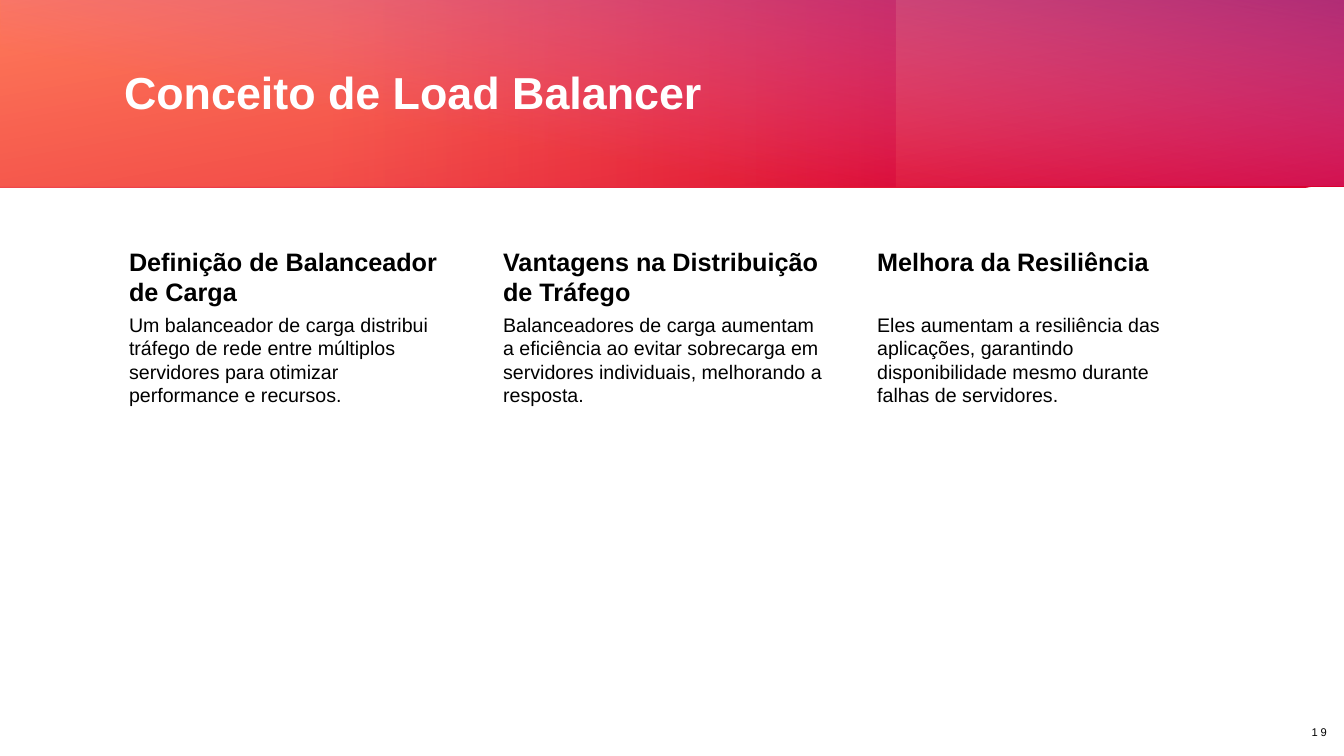
"""Build the load balancer concept slide: a gradient banner over three text columns."""
from lxml.etree import SubElement
from pptx import Presentation
from pptx.dml.color import RGBColor
from pptx.enum.shapes import MSO_SHAPE
from pptx.enum.text import MSO_ANCHOR, MSO_AUTO_SIZE, PP_ALIGN
from pptx.oxml.ns import qn
from pptx.util import Inches, Pt

COLORS = {
    "white": "FFFFFF", "black": "000000", "red": "DA002F", "peach": "FF8463",
    "coral": "FF6C4F", "orchid": "D861D4", "purple": "93258E",
}
FONT = "Arial"
WIDTH, HEIGHT = 13.33, 7.5
MARGIN = 1.13
COLUMN_STEP, COLUMN_WIDTH = 3.71, 3.37
HEADING_TOP, BODY_TOP, BODY_BOTTOM = 2.41, 3.08, 6.86


def write(box, text, size, color="black", bold=False, align=PP_ALIGN.LEFT,
          anchor=MSO_ANCHOR.TOP, insets=(0.1, 0.05, 0.1, 0.05), after=0, line=1.0, tracking=0):
    """Fill a box with one formatted paragraph."""
    frame = box.text_frame
    frame.word_wrap = True
    frame.auto_size = MSO_AUTO_SIZE.NONE
    frame.vertical_anchor = anchor
    (frame.margin_left, frame.margin_top,
     frame.margin_right, frame.margin_bottom) = map(Inches, insets)
    para = frame.paragraphs[0]
    para.alignment = align
    para.line_spacing = line
    para.space_after = Pt(after)
    span = para.add_run()
    span.text = text
    span.font.name = FONT
    span.font.size = Pt(size)
    span.font.bold = bold
    span.font.color.rgb = RGBColor.from_string(COLORS[color])
    if tracking:
        span.font._element.set("spc", str(tracking * 100))


def paint_gradient(shape, stops, angle):
    """Give a shape a linear gradient of (position, color, opacity) stops."""
    shape.fill.gradient()
    gradient = shape.element.spPr.find(qn("a:gradFill"))
    for child in list(gradient):
        gradient.remove(child)
    stop_list = SubElement(gradient, qn("a:gsLst"))
    for position, color, opacity in stops:
        stop = SubElement(stop_list, qn("a:gs"), pos=str(position * 1000))
        tint = SubElement(stop, qn("a:srgbClr"), val=COLORS[color])
        SubElement(tint, qn("a:alpha"), val=str(opacity * 1000))
    SubElement(gradient, qn("a:lin"), ang=str(angle * 60000), scaled="0")


deck = Presentation()
deck.slide_width, deck.slide_height = Inches(WIDTH), Inches(HEIGHT)
page = deck.slides.add_slide(deck.slide_layouts[5])
page.background.fill.solid()
page.background.fill.fore_color.rgb = RGBColor.from_string(COLORS["white"])

banner_layers = [
    ((-0.01, 0, 13.35, 1.86), [(0, "red", 100), (100, "peach", 100)], 260),
    ((-0.01, 0, 8.89, 1.85), [(37, "coral", 42), (99, "red", 50)], 0),
    ((0.01, -0.01, 13.34, 1.85), [(32, "orchid", 0), (100, "purple", 66)], 280),
]
for place, stops, angle in banner_layers:
    layer = page.shapes.add_shape(MSO_SHAPE.RECTANGLE, *map(Inches, place))
    layer.shadow.inherit = False
    layer.line.fill.background()
    paint_gradient(layer, stops, angle)

title = page.shapes.title
title.element.getparent().append(title.element)
title.left, title.top = Inches(MARGIN), Inches(0.38)
title.width, title.height = Inches(10.8), Inches(1.13)
write(title, "Conceito de Load Balancer", 32, color="white", bold=True,
      anchor=MSO_ANCHOR.MIDDLE, line=0.9)

columns = [
    ("Definição de Balanceador de Carga",
     "Um balanceador de carga distribui tráfego de rede entre múltiplos servidores "
     "para otimizar performance e recursos."),
    ("Vantagens na Distribuição de Tráfego",
     "Balanceadores de carga aumentam a eficiência ao evitar sobrecarga em servidores "
     "individuais, melhorando a resposta."),
    ("Melhora da Resiliência",
     "Eles aumentam a resiliência das aplicações, garantindo disponibilidade mesmo "
     "durante falhas de servidores."),
]
for index, (heading, body) in enumerate(columns):
    left = MARGIN + index * COLUMN_STEP
    rows = [
        (heading, HEADING_TOP, BODY_TOP, 18, True, 0.03),
        (body, BODY_TOP, BODY_BOTTOM, 14, False, 0.02),
    ]
    for text, top, bottom, size, bold, inset in rows:
        box = page.shapes.add_textbox(
            Inches(left), Inches(top), Inches(COLUMN_WIDTH), Inches(bottom - top))
        write(box, text, size, bold=bold, insets=(0.15, inset, inset, inset), after=0.35 * size)

number = page.shapes.add_textbox(Inches(12.66), Inches(7.06), Inches(0.6), Inches(0.4))
write(number, "19", 8, align=PP_ALIGN.RIGHT, anchor=MSO_ANCHOR.MIDDLE, after=6, tracking=2)

deck.save("out.pptx")
